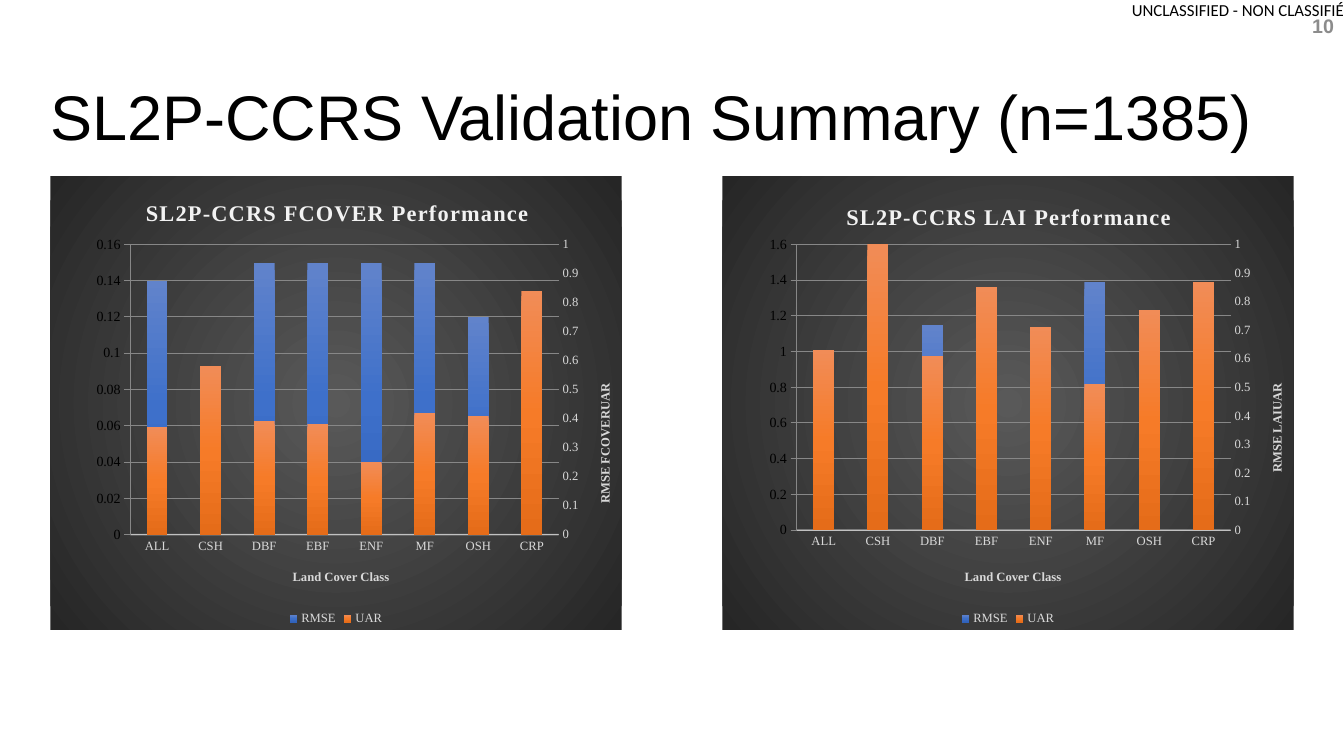
from copy import deepcopy

from lxml.etree import SubElement
from pptx import Presentation
from pptx.chart.axis import CategoryAxis, ValueAxis
from pptx.chart.data import CategoryChartData
from pptx.dml.color import RGBColor
from pptx.enum.chart import XL_CHART_TYPE as ChartType, XL_LEGEND_POSITION as LegendPosition
from pptx.enum.chart import XL_TICK_MARK as TickMark
from pptx.enum.text import MSO_ANCHOR as Anchor, MSO_AUTO_SIZE as AutoSize, PP_ALIGN as Align
from pptx.oxml import parse_xml
from pptx.oxml.ns import nsdecls, qn
from pptx.util import Pt

BLACK = RGBColor(0x00, 0x00, 0x00)
GREY = RGBColor(0x8C, 0x8C, 0x8C)
PALE = RGBColor(0xD9, 0xD9, 0xD9)
NEAR_WHITE = RGBColor(0xF2, 0xF2, 0xF2)
BACKDROP = [(0, RGBColor(0x59, 0x59, 0x59)), (100, RGBColor(0x26, 0x26, 0x26))]
BLUES = [(0, RGBColor(0x61, 0x83, 0xCB)), (50, RGBColor(0x3E, 0x70, 0xCA)),
         (100, RGBColor(0x30, 0x62, 0xBB))]
ORANGES = [(0, RGBColor(0xF1, 0x8C, 0x57)), (50, RGBColor(0xF6, 0x7B, 0x28)),
           (100, RGBColor(0xE5, 0x6C, 0x19))]
DOWNWARD = '<a:lin ang="5400000" scaled="0"/>'
RADIAL = '<a:path path="circle"><a:fillToRect l="50000" t="50000" r="50000" b="50000"/></a:path>'
SERIF = "Times New Roman"
COVER_CLASSES = ["ALL", "CSH", "DBF", "EBF", "ENF", "MF", "OSH", "CRP"]


def set_font(font, face, size, color, bold=False):
    font.name, font.size, font.bold = face, Pt(size), bold
    font.color.rgb = color


def add_run(paragraph, words, face, size, color, bold=False):
    run = paragraph.add_run()
    run.text = words
    set_font(run.font, face, size, color, bold)
    return run


def gradient(stops, direction):
    marks = "".join(f'<a:gs pos="{pos * 1000}"><a:srgbClr val="{color}"/></a:gs>'
                    for pos, color in stops)
    return parse_xml(f'<a:gradFill {nsdecls("a")} rotWithShape="1">'
                     f'<a:gsLst>{marks}</a:gsLst>{direction}</a:gradFill>')


def manual_layout(parent, **parts):
    layout = SubElement(parent, qn("c:manualLayout"))
    for tag, value in parts.items():
        SubElement(layout, qn(f"c:{tag}")).set("val", str(value))


def place_title(title, words, size, color, x, y, rotated=False):
    run = add_run(title.text_frame.paragraphs[0], words, SERIF, size, color, True)
    if rotated:
        body = title.element.xpath(".//a:bodyPr")[0]
        body.set("rot", "-5400000")
        body.set("vert", "horz")
    manual_layout(title.element.xpath("c:layout")[0], xMode="edge", yMode="edge", x=x, y=y)
    return run


def style_axis(axis, words, x, y, rotated=False):
    axis.major_tick_mark = axis.minor_tick_mark = TickMark.NONE
    set_font(axis.tick_labels.font, SERIF, 9, PALE)
    place_title(axis.axis_title, words, 9, PALE, x, y, rotated)


def style_value_axis(axis, words, top, step, x, y):
    style_axis(axis, words, x, y, rotated=True)
    axis.minimum_scale, axis.maximum_scale, axis.major_unit = 0, top, step
    axis.format.line.fill.background()


def add_right_axis(chart):
    plot_area = chart.element.xpath(".//c:plotArea")[0]
    rmse_bars = plot_area.xpath("c:barChart")[0]
    category, value = plot_area.xpath("c:catAx")[0], plot_area.xpath("c:valAx")[0]
    uar_bars, right_value, hidden_category = map(deepcopy, (rmse_bars, value, category))
    rmse_bars.remove(rmse_bars.xpath("c:ser")[1])
    uar_bars.remove(uar_bars.xpath("c:ser")[0])
    for part in (uar_bars, right_value, hidden_category):
        for link in part.xpath("c:axId | c:crossAx"):
            link.set("val", str(abs(int(link.get("val")))))
    rmse_bars.addnext(uar_bars)
    value.addnext(right_value)
    right_value.addnext(hidden_category)
    right_value.xpath("c:axPos")[0].set("val", "r")
    right_value.xpath("c:crosses")[0].set("val", "max")
    CategoryAxis(hidden_category).visible = False
    right_axis = ValueAxis(right_value)
    right_axis.has_major_gridlines = False
    return right_axis


def set_plot_box(chart, x, y, w, h):
    plot_area = chart.element.xpath(".//c:plotArea")[0]
    for old in plot_area.xpath("c:layout"):
        plot_area.remove(old)
    layout = parse_xml(f'<c:layout {nsdecls("c")}/>')
    plot_area.insert(0, layout)
    manual_layout(layout, layoutTarget="inner", xMode="edge", yMode="edge", x=x, y=y, w=w, h=h)


def set_opacity(chart, query, percent):
    for color in chart.element.xpath(query):
        SubElement(color, qn("a:alpha")).set("val", str(percent * 1000))


def add_performance_chart(slide, box, measure, rmse, uar, top, step, heading_at, rmse_y, plot_box):
    data = CategoryChartData()
    data.categories = COVER_CLASSES
    data.add_series("RMSE", rmse)
    data.add_series("UAR", uar)
    chart = slide.shapes.add_chart(ChartType.COLUMN_CLUSTERED, *map(Pt, box), data).chart
    set_font(chart.font, SERIF, 10, BLACK)
    backdrop = parse_xml(f'<c:spPr {nsdecls("c", "a")}/>')
    backdrop.append(gradient(BACKDROP, RADIAL))
    SubElement(SubElement(backdrop, qn("a:ln")), qn("a:noFill"))
    chart.element.xpath("c:txPr")[0].addprevious(backdrop)

    bars = chart.plots[0]
    bars.gap_width, bars.overlap, bars.vary_by_categories = 158, -100, False
    for series, stops in zip(chart.element.xpath(".//c:ser"), (BLUES, ORANGES)):
        series.get_or_add_spPr().append(gradient(stops, DOWNWARD))
    right_axis = add_right_axis(chart)

    chart.has_title = True
    heading = place_title(chart.chart_title, f"SL2P-CCRS {measure} Performance",
                          16, NEAR_WHITE, *heading_at)
    heading.font.element.set("spc", "100") if hasattr(heading.font, "element") else None
    for properties in chart.element.xpath("c:chart/c:title//a:r/a:rPr"):
        properties.set("spc", "100")

    classes, left_axis = chart.category_axis, chart.value_axis
    style_axis(classes, "Land Cover Class", 0.42, 0.86)
    classes.format.line.color.rgb = NEAR_WHITE
    classes.format.line.width = Pt(1)
    style_value_axis(left_axis, f"RMSE {measure}", top, step, 0.04, rmse_y)
    style_value_axis(right_axis, "UAR", 1, 0.1, 0.95, 0.45)
    grid = left_axis.major_gridlines.format.line
    grid.color.rgb, grid.width = NEAR_WHITE, Pt(0.75)
    set_opacity(chart, ".//c:catAx/c:spPr//a:srgbClr", 54)
    set_opacity(chart, ".//c:majorGridlines//a:srgbClr", 10)

    chart.has_legend = True
    chart.legend.position = LegendPosition.BOTTOM
    chart.legend.include_in_layout = False
    set_font(chart.legend.font, SERIF, 9, PALE)
    set_plot_box(chart, *plot_box)


def add_title(slide, box, words):
    title = slide.shapes.title
    title.left, title.top, title.width, title.height = map(Pt, box)
    frame = title.text_frame
    frame.auto_size, frame.vertical_anchor = AutoSize.NONE, Anchor.BOTTOM
    frame.margin_left = 0
    paragraph = frame.paragraphs[0]
    paragraph.alignment, paragraph.line_spacing = Align.LEFT, 0.9
    add_run(paragraph, words, "Arial", 45, BLACK)


def add_marking(slide, box, words):
    frame = slide.shapes.add_textbox(*map(Pt, box)).text_frame
    frame.margin_left = frame.margin_top = frame.margin_right = frame.margin_bottom = 0
    add_run(frame.paragraphs[0], words, "Calibri", 12, BLACK)


def add_page_number(slide, box, number):
    frame = slide.shapes.add_textbox(*map(Pt, box)).text_frame
    frame.word_wrap, frame.vertical_anchor = True, Anchor.MIDDLE
    frame.paragraphs[0].alignment = Align.RIGHT
    add_run(frame.paragraphs[0], number, "Arial", 14, GREY, True)


def main():
    deck = Presentation()
    deck.slide_width, deck.slide_height = Pt(960), Pt(540)
    slide = deck.slides.add_slide(deck.slide_layouts[5])
    add_marking(slide, (808.5, 0, 155, 14.5), "UNCLASSIFIED - NON CLASSIFIÉ")
    add_title(slide, (36, 36, 888, 78), "SL2P-CCRS Validation Summary (n=1385)")
    add_page_number(slide, (924.5, 0, 35.5, 36), "10")
    add_performance_chart(slide, (516, 126, 408, 324), "LAI",
                          [0.91, 0.14, 1.15, 0.39, 0.78, 1.39, 0.54, 0.63],
                          [0.63, 1, 0.61, 0.85, 0.71, 0.51, 0.77, 0.87],
                          1.6, 0.2, (0.21, 0.05), 0.41, (0.13, 0.15, 0.76, 0.63))
    add_performance_chart(slide, (36, 126, 408, 324), "FCOVER",
                          [0.14, 0.05, 0.15, 0.15, 0.15, 0.15, 0.12, 0.114],
                          [0.37, 0.58, 0.39, 0.38, 0.25, 0.42, 0.41, 0.84],
                          0.16, 0.02, (0.16, 0.04), 0.38, (0.14, 0.15, 0.75, 0.64))
    deck.save("out.pptx")


if __name__ == "__main__":
    main()
